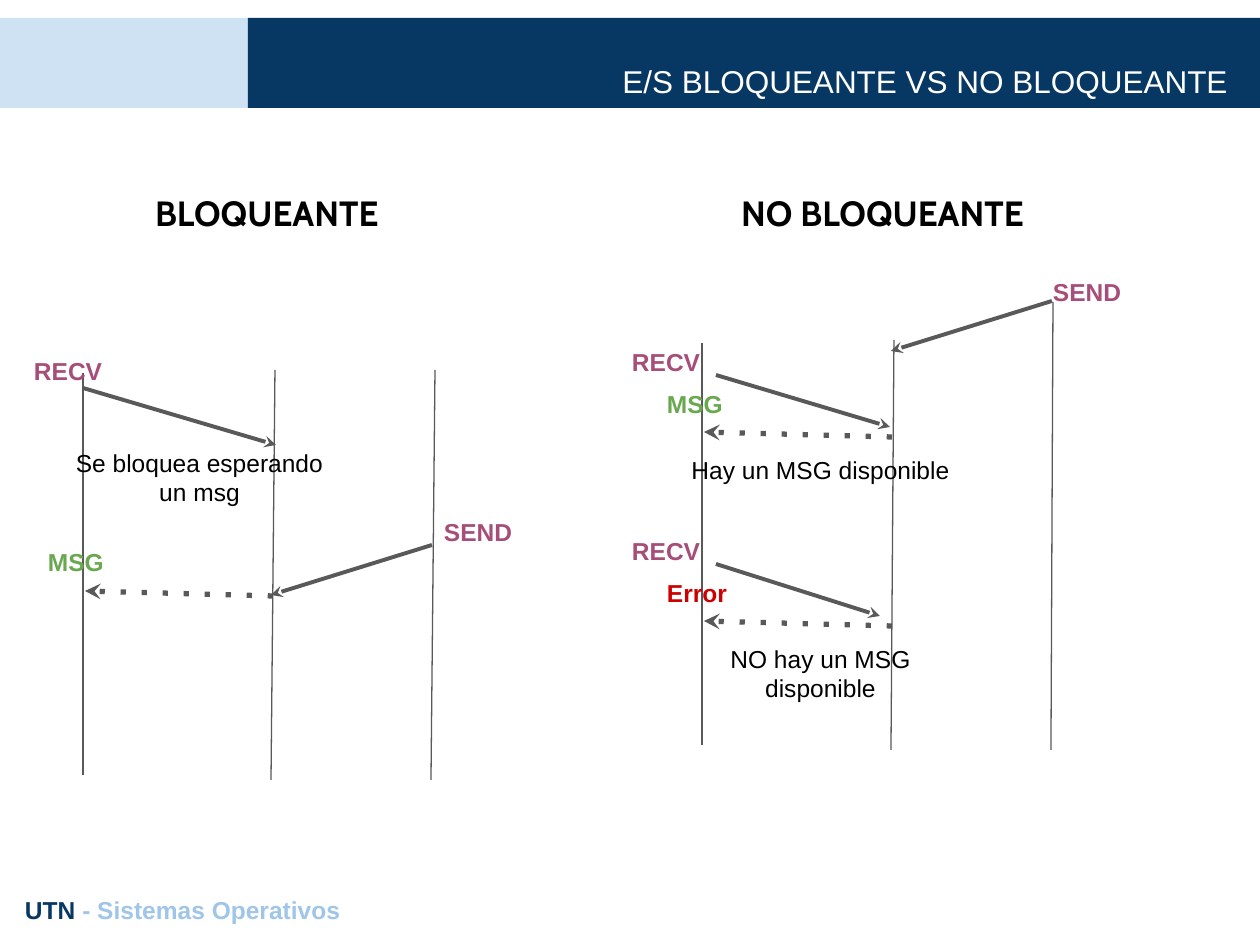
from lxml.etree import SubElement
from pptx import Presentation
from pptx.dml.color import RGBColor
from pptx.enum.shapes import MSO_CONNECTOR, MSO_SHAPE
from pptx.enum.text import MSO_ANCHOR, PP_ALIGN
from pptx.oxml.ns import qn
from pptx.util import Emu, Pt

EMU_PER_PX = 914400 / 126
INSET = 13
COLORS = {
    "white": "FFFFFF", "black": "000000", "navy": "073763",
    "pale": "CFE2F3", "sky": "9FC5E8", "line": "595959",
    "call": "A64D79", "message": "6AA84F", "error": "CC0000",
}


def px(length):
    return Emu(round(length * EMU_PER_PX))


def color(name):
    return RGBColor.from_string(COLORS[name])


def add_band(page, left, width, fill):
    band = page.shapes.add_shape(
        MSO_SHAPE.RECTANGLE, px(left), px(18), px(width), px(90))
    band.shadow.inherit = False
    band.fill.solid()
    band.fill.fore_color.rgb = color(fill)
    band.line.fill.background()


def add_text(page, left, top, width, height, spans, size=14, font="Arial",
             bold=False, align=PP_ALIGN.LEFT, anchor=MSO_ANCHOR.TOP):
    """Add a one-paragraph box; spans are (text, colour name) pairs."""
    box = page.shapes.add_textbox(px(left), px(top), px(width), px(height))
    frame = box.text_frame
    frame_format = {"word_wrap": True, "vertical_anchor": anchor}
    for side in ("left", "top", "right", "bottom"):
        frame_format[f"margin_{side}"] = px(INSET)
    for name, value in frame_format.items():
        setattr(frame, name, value)
    para = frame.paragraphs[0]
    para.alignment = align
    for text, ink in spans:
        span = para.add_run()
        span.text = text
        for name, value in {"name": font, "size": Pt(size), "bold": bold}.items():
            setattr(span.font, name, value)
        span.font.color.rgb = color(ink)


def add_heading(page, left, text):
    add_text(page, left, 179, 400, 69, [(text, "black")],
             size=20, font="Cabin", bold=True)


def add_label(page, left, top, text, ink):
    add_text(page, left, top, 123, 44, [(text, ink)], bold=True)


def add_caption(page, left, top, text):
    add_text(page, left, top, 307, 69, [(text, "black")], align=PP_ALIGN.CENTER)


def add_line(page, start, end, width=0.75, dotted=False, arrow=False):
    line = page.shapes.add_connector(
        MSO_CONNECTOR.STRAIGHT, *(px(value) for value in (*start, *end)))
    line.line.color.rgb = color("line")
    line.line.width = Pt(width)
    stroke = line.line._get_or_add_ln()
    if dotted:
        SubElement(stroke, qn("a:prstDash"), val="dot")
    if arrow:
        SubElement(stroke, qn("a:tailEnd"), type="stealth")
    SubElement(line._element.spPr, qn("a:effectLst"))


def add_call(page, start, end):
    add_line(page, start, end, width=2.25, arrow=True)


def add_reply(page, left, top):
    add_line(page, (left + 188, top + 5), (left, top),
             width=3, dotted=True, arrow=True)


def add_frame(page):
    add_band(page, 0, 248, "pale")
    add_band(page, 248, 1012, "navy")
    add_text(page, 170, 50, 1071, 63, [("E/S BLOQUEANTE VS NO BLOQUEANTE", "white")],
             size=18, align=PP_ALIGN.RIGHT, anchor=MSO_ANCHOR.BOTTOM)
    add_text(page, 12, 882, 1236, 55,
             [("UTN ", "navy"), ("- Sistemas Operativos", "sky")], bold=True)


def add_blocking(page):
    add_heading(page, 142, "BLOQUEANTE")
    add_line(page, (83, 373), (83, 775))
    for left in (271, 431):
        add_line(page, (left + 4, 370), (left, 780))
    add_call(page, (83, 388), (276, 445))
    add_label(page, 21, 343, "RECV", "call")
    add_call(page, (432, 545), (271, 595))
    add_label(page, 431, 504, "SEND", "call")
    add_reply(page, 85, 591)
    add_label(page, 35, 534, "MSG", "message")
    add_caption(page, 46, 435, "Se bloquea esperando un msg")


def add_poll(page, top, arrow_width, reply, ink, caption):
    """Add a RECV call with its immediate reply."""
    add_call(page, (716, top + 41), (716 + arrow_width, top + 93))
    add_label(page, 619, top, "RECV", "call")
    add_caption(page, 667, top + 108, caption)
    add_reply(page, 704, top + 98)
    add_label(page, 654, top + 42, reply, ink)


def add_non_blocking(page):
    add_heading(page, 728, "NO BLOQUEANTE")
    add_line(page, (702, 343), (702, 745))
    add_line(page, (894, 340), (891, 750))
    add_line(page, (1053, 302), (1051, 750))
    add_call(page, (1052, 301), (891, 351))
    add_label(page, 1040, 264, "SEND", "call")
    add_poll(page, 334, 174, "MSG", "message", "Hay un MSG disponible")
    add_poll(page, 523, 164, "Error", "error", "NO hay un MSG disponible")


def main():
    deck = Presentation()
    deck.slide_width, deck.slide_height = px(1260), px(945)
    page = deck.slides.add_slide(deck.slide_layouts[6])
    page.background.fill.solid()
    page.background.fill.fore_color.rgb = color("white")
    add_frame(page)
    add_blocking(page)
    add_non_blocking(page)
    deck.save("out.pptx")


if __name__ == "__main__":
    main()
